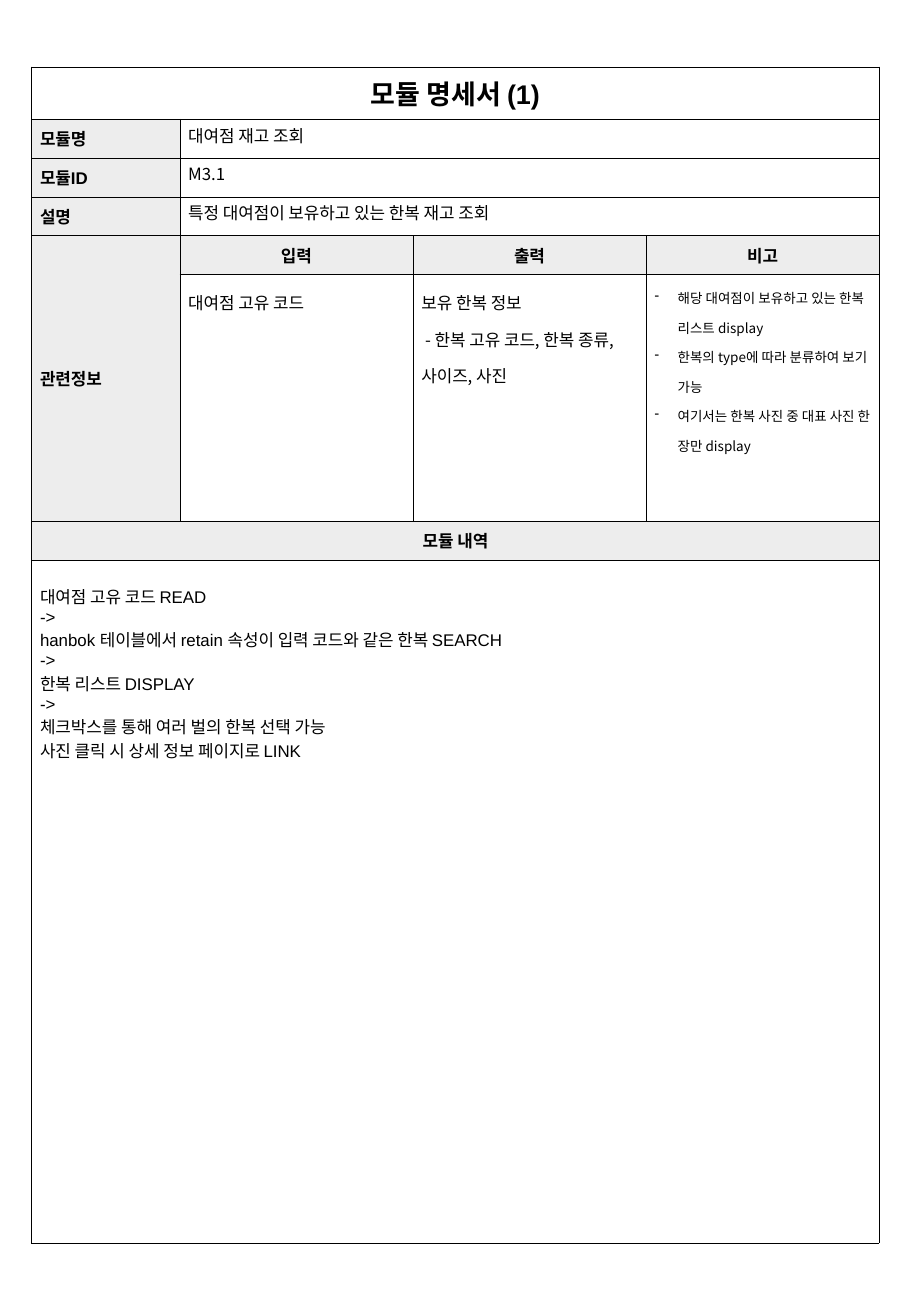
"""Build a one-page module specification sheet as a single table."""
from dataclasses import dataclass

from lxml import etree
from pptx import Presentation
from pptx.dml.color import RGBColor
from pptx.enum.text import MSO_ANCHOR, PP_ALIGN
from pptx.oxml.ns import qn
from pptx.table import Table, _Cell
from pptx.text.text import _Paragraph
from pptx.util import Inches, Pt

BLACK = RGBColor(0x00, 0x00, 0x00)
WHITE = RGBColor(0xFF, 0xFF, 0xFF)
LABEL_GRAY = RGBColor(0xED, 0xED, 0xED)
LEFT, CENTER = PP_ALIGN.LEFT, PP_ALIGN.CENTER
TOP, MIDDLE = MSO_ANCHOR.TOP, MSO_ANCHOR.MIDDLE

LATIN, HANGUL = "Arial", "Noto Sans CJK KR"
SLIDE_WIDTH, SLIDE_HEIGHT = 7.5, 10.83
SHEET_LEFT, SHEET_TOP = 0.26, 0.55
LINE_ROW = 0.32
COLUMN_WIDTHS = [1.22] + [1.92] * 3
ROW_HEIGHTS = [0.43] + [LINE_ROW] * 4 + [2.03, LINE_ROW, 5.62]
SIDE_INSET, END_INSET = 0.07, 0.03
BULLET_INDENT = 0.19
BORDER_WIDTH = Pt(0.25)


@dataclass(frozen=True)
class Style:
    """Look of a kind of cell."""
    size: float = 10
    typeface: str = HANGUL
    bold: bool = False
    fill: RGBColor = WHITE
    align: PP_ALIGN = LEFT
    anchor: MSO_ANCHOR = TOP
    line_spacing: float = 1.0
    bullet: str = ""
    top_inset: float = END_INSET


@dataclass(frozen=True)
class Entry:
    """Text of a cell with its place and span in the grid."""
    row: int
    column: int
    lines: tuple[str, ...]
    style: Style
    rows: int = 1
    columns: int = 1


TITLE = Style(16, LATIN, True, align=CENTER, anchor=MIDDLE)
LABEL = Style(10, LATIN, True, LABEL_GRAY, anchor=MIDDLE)
HEADING = Style(10, LATIN, True, LABEL_GRAY, CENTER, MIDDLE)
VALUE = Style()
DETAIL = Style(line_spacing=1.5)
REMARK = Style(8, line_spacing=1.5, bullet="-")
PROCESS = Style(typeface=LATIN, top_inset=0.2)

FACTS = (
    ("모듈명", "대여점 재고 조회"),
    ("모듈ID", "M3.1"),
    ("설명", "특정 대여점이 보유하고 있는 한복 재고 조회"),
)
RELATED = (
    ("입력", ("대여점 고유 코드",), DETAIL),
    ("출력", ("보유 한복 정보", " - 한복 고유 코드, 한복 종류, 사이즈, 사진"), DETAIL),
    ("비고", (
        "해당 대여점이 보유하고 있는 한복 리스트 display",
        "한복의 type에 따라 분류하여 보기 가능",
        "여기서는 한복 사진 중 대표 사진 한 장만 display",
    ), REMARK),
)
STEPS = (
    "대여점 고유 코드 READ",
    "->",
    "hanbok 테이블에서 retain 속성이 입력 코드와 같은 한복 SEARCH",
    "->",
    "한복 리스트 DISPLAY",
    "->",
    "체크박스를 통해 여러 벌의 한복 선택 가능",
    "사진 클릭 시 상세 정보 페이지로 LINK",
)


def sheet_entries() -> list[Entry]:
    """List every filled cell of the sheet."""
    entries = [
        Entry(0, 0, ("모듈 명세서 (1)",), TITLE, columns=4),
        Entry(4, 0, ("관련정보",), LABEL, rows=2),
        Entry(6, 0, ("모듈 내역",), HEADING, columns=4),
        Entry(7, 0, STEPS, PROCESS, columns=4),
    ]
    for row, (label, value) in enumerate(FACTS, start=1):
        entries.append(Entry(row, 0, (label,), LABEL))
        entries.append(Entry(row, 1, (value,), VALUE, columns=3))
    for column, (heading, lines, style) in enumerate(RELATED, start=1):
        entries.append(Entry(4, column, (heading,), HEADING))
        entries.append(Entry(5, column, lines, style))
    return entries


def draw_borders(cell: _Cell) -> None:
    """Rule all four sides of a cell."""
    properties = cell._tc.get_or_add_tcPr()
    for side in ("a:lnL", "a:lnR", "a:lnT", "a:lnB"):
        line = etree.SubElement(properties, qn(side), w=str(BORDER_WIDTH))
        paint = etree.SubElement(line, qn("a:solidFill"))
        etree.SubElement(paint, qn("a:srgbClr"), val=str(BLACK))


def paint_cell(cell: _Cell, color: RGBColor) -> None:
    """Fill a cell with one colour."""
    cell.fill.solid()
    cell.fill.fore_color.rgb = color


def add_bullet(paragraph: _Paragraph, mark: str) -> None:
    """Give a paragraph a hanging bullet."""
    properties = paragraph._p.get_or_add_pPr()
    properties.set("marL", str(Inches(BULLET_INDENT)))
    properties.set("indent", str(-Inches(BULLET_INDENT)))
    etree.SubElement(properties, qn("a:buChar"), char=mark)


def write_line(paragraph: _Paragraph, text: str, style: Style) -> None:
    """Write one paragraph in the given style."""
    paragraph.alignment = style.align
    paragraph.line_spacing = style.line_spacing
    if style.bullet:
        add_bullet(paragraph, style.bullet)
    run = paragraph.add_run()
    run.text = text
    run.font.size = Pt(style.size)
    run.font.bold = style.bold
    run.font.color.rgb = BLACK
    run.font.name = style.typeface
    etree.SubElement(run._r.get_or_add_rPr(), qn("a:ea"), typeface=HANGUL)


def fill_entry(table: Table, entry: Entry) -> None:
    """Merge, paint and write one entry."""
    cell, style = table.cell(entry.row, entry.column), entry.style
    last = table.cell(entry.row + entry.rows - 1, entry.column + entry.columns - 1)
    if entry.rows * entry.columns > 1:
        cell.merge(last)
    paint_cell(cell, style.fill)
    cell.vertical_anchor = style.anchor
    cell.margin_left = cell.margin_right = Inches(SIDE_INSET)
    cell.margin_top, cell.margin_bottom = Inches(style.top_inset), Inches(END_INSET)
    frame = cell.text_frame
    for index, text in enumerate(entry.lines):
        paragraph = frame.add_paragraph() if index else frame.paragraphs[0]
        write_line(paragraph, text, style)


def main() -> None:
    """Create the sheet and save it."""
    deck = Presentation()
    deck.slide_width, deck.slide_height = Inches(SLIDE_WIDTH), Inches(SLIDE_HEIGHT)
    slide = deck.slides.add_slide(deck.slide_layouts[6])
    table = slide.shapes.add_table(
        len(ROW_HEIGHTS), len(COLUMN_WIDTHS), Inches(SHEET_LEFT), Inches(SHEET_TOP),
        Inches(sum(COLUMN_WIDTHS)), Inches(sum(ROW_HEIGHTS))).table
    table.first_row = table.horz_banding = False
    for column, width in zip(table.columns, COLUMN_WIDTHS):
        column.width = Inches(width)
    for row, height in zip(table.rows, ROW_HEIGHTS):
        row.height = Inches(height)
    for cell in table.iter_cells():
        draw_borders(cell)
        paint_cell(cell, WHITE)
    for entry in sheet_entries():
        fill_entry(table, entry)
    deck.save("out.pptx")


if __name__ == "__main__":
    main()
